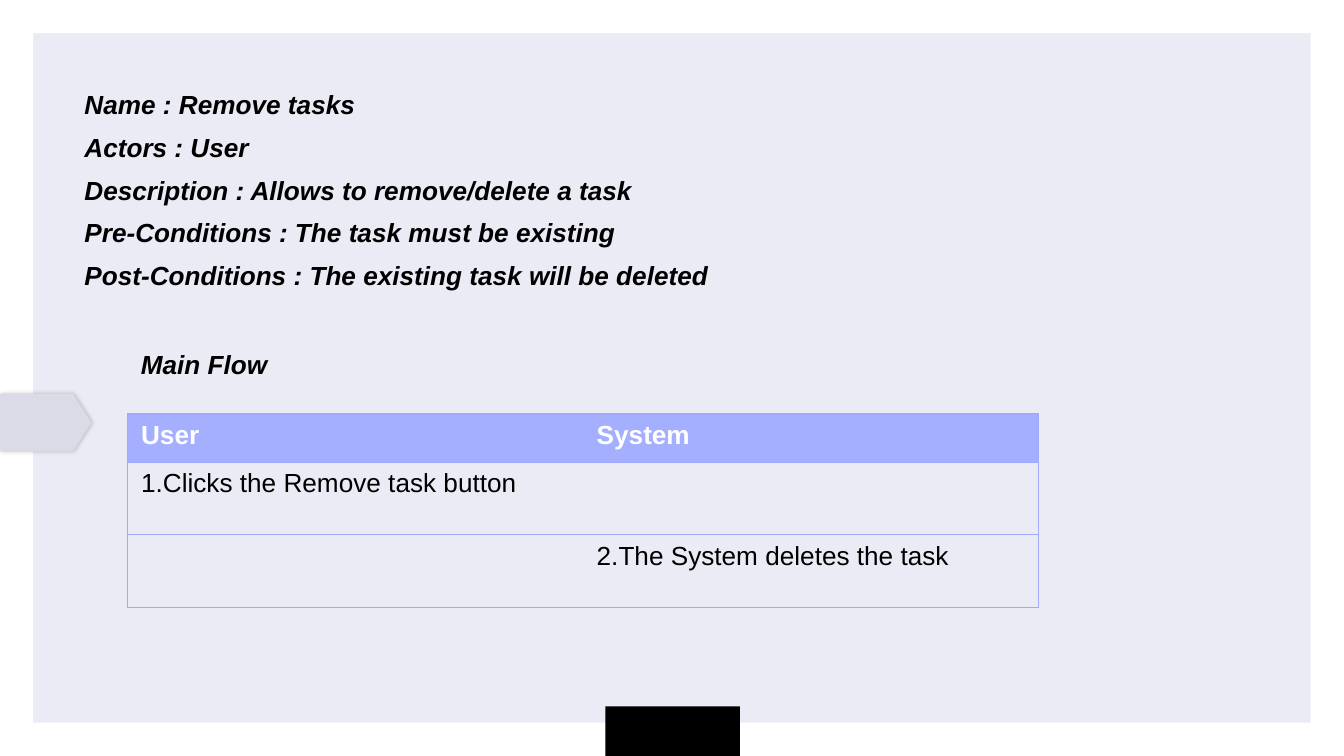
from dataclasses import dataclass

from lxml import etree
from pptx import Presentation
from pptx.dml.color import RGBColor
from pptx.enum.shapes import MSO_SHAPE
from pptx.oxml.ns import qn
from pptx.util import Inches, Pt

FRAME, RECT, TAG = MSO_SHAPE.FRAME, MSO_SHAPE.RECTANGLE, MSO_SHAPE.PENTAGON
SLIDE_WIDTH = 10
SLIDE_HEIGHT = SLIDE_WIDTH * 9 / 16
COLORS = {"background": "EAEBF4", "frame": "FFFFFF", "text": "000000",
          "footer": "000000", "tag": "DADBE6", "header": "A4AFFF",
          "header_text": "FFFFFF", "border": "9FAAFB"}
PLAIN_TABLE = "{2D5ABB26-0587-4C30-8999-92F81FD0307C}"
FONT = {"name": "Arial", "size": Pt(14)}

DETAILS = ["Name : Remove tasks", "Actors : User",
           "Description : Allows to remove/delete a task",
           "Pre-Conditions : The task must be existing",
           "Post-Conditions : The existing task will be deleted"]
FLOW = [["User", "System"],
        ["1.Clicks the Remove task button", ""],
        ["", "2.The System deletes the task"]]


@dataclass
class Box:
    left: float
    top: float
    width: float
    height: float

    def lengths(self) -> list:
        return [Inches(v) for v in (self.left, self.top, self.width, self.height)]


def rgb(name: str) -> RGBColor:
    return RGBColor.from_string(COLORS[name])


def style_run(r, color: str, **formats) -> None:
    for key, value in {**FONT, **formats}.items():
        setattr(r.font, key, value)
    r.font.color.rgb = rgb(color)


def add_block(s, kind, box: Box, color: str, adjust: float | None = None):
    sp = s.shapes.add_shape(kind, *box.lengths())
    sp.shadow.inherit = False
    sp.fill.solid()
    sp.fill.fore_color.rgb = rgb(color)
    sp.line.fill.background()
    if adjust is not None:
        sp.adjustments[0] = adjust
    return sp


def add_soft_shadow(sp) -> None:
    effects = sp._element.spPr.find(qn("a:effectLst"))
    shadow = etree.SubElement(effects, qn("a:outerShdw"), blurRad=str(Pt(2.2)),
                              dist=str(Pt(0.8)), dir="0", rotWithShape="0")
    color = etree.SubElement(shadow, qn("a:srgbClr"), val="000000")
    etree.SubElement(color, qn("a:alpha"), val="20000")


def add_text(s, box: Box, lines: list[str]) -> None:
    tf = s.shapes.add_textbox(*box.lengths()).text_frame
    tf.word_wrap = True
    for side in ("left", "top", "right", "bottom"):
        setattr(tf, f"margin_{side}", Inches(0.1))
    for i, line in enumerate(lines):
        p = tf.add_paragraph() if i else tf.paragraphs[0]
        p.space_before = Pt(6)
        r = p.add_run()
        r.text = line
        style_run(r, "text", bold=True, italic=True)


def add_borders(cell, sides: str) -> None:
    """Draw the sides named by the letters L, R, T and B."""
    tc_pr = cell._tc.get_or_add_tcPr()
    for side in "LRTB":
        line = etree.SubElement(tc_pr, qn(f"a:ln{side}"), w=str(Pt(0.75)))
        if side in sides:
            fill = etree.SubElement(line, qn("a:solidFill"))
            etree.SubElement(fill, qn("a:srgbClr"), val=COLORS["border"])
        else:
            etree.SubElement(line, qn("a:noFill"))


def add_flow_table(s, box: Box, heights: list[float]) -> None:
    table = s.shapes.add_table(len(FLOW), len(FLOW[0]), *box.lengths()).table
    table.horz_banding = False
    table._tbl.tblPr.find(qn("a:tableStyleId")).text = PLAIN_TABLE
    for i, (texts, height) in enumerate(zip(FLOW, heights)):
        table.rows[i].height = Inches(height)
        for j, text in enumerate(texts):
            cell = table.cell(i, j)
            add_borders(cell, "TB" + "LR"[j])
            if i == 0:
                cell.fill.solid()
                cell.fill.fore_color.rgb = rgb("header")
            else:
                cell.fill.background()
            if text:
                r = cell.text_frame.paragraphs[0].add_run()
                r.text = text
                style_run(r, "text" if i else "header_text", bold=i == 0)


def main() -> None:
    prs = Presentation()
    prs.slide_width, prs.slide_height = Inches(SLIDE_WIDTH), Inches(SLIDE_HEIGHT)
    s = prs.slides.add_slide(prs.slide_layouts[6])
    s.background.fill.solid()
    s.background.fill.fore_color.rgb = rgb("background")

    add_block(s, FRAME, Box(0, 0, SLIDE_WIDTH, SLIDE_HEIGHT), "frame", 0.044)
    footer = add_block(s, RECT, Box(4.82, 4.94, 0.37, 1), "footer")
    footer.rotation = 270
    add_soft_shadow(add_block(s, TAG, Box(0, 2.93, 0.68, 0.43), "tag", 0.32))

    add_text(s, Box(0.53, 0.56, 5.03, 2.25), DETAILS)
    add_flow_table(s, Box(0.95, 3.08, 6.78, 1.44), [0.36, 0.54, 0.54])
    add_text(s, Box(0.95, 2.49, 1.34, 0.44), ["Main Flow"])
    prs.save("out.pptx")


if __name__ == "__main__":
    main()
